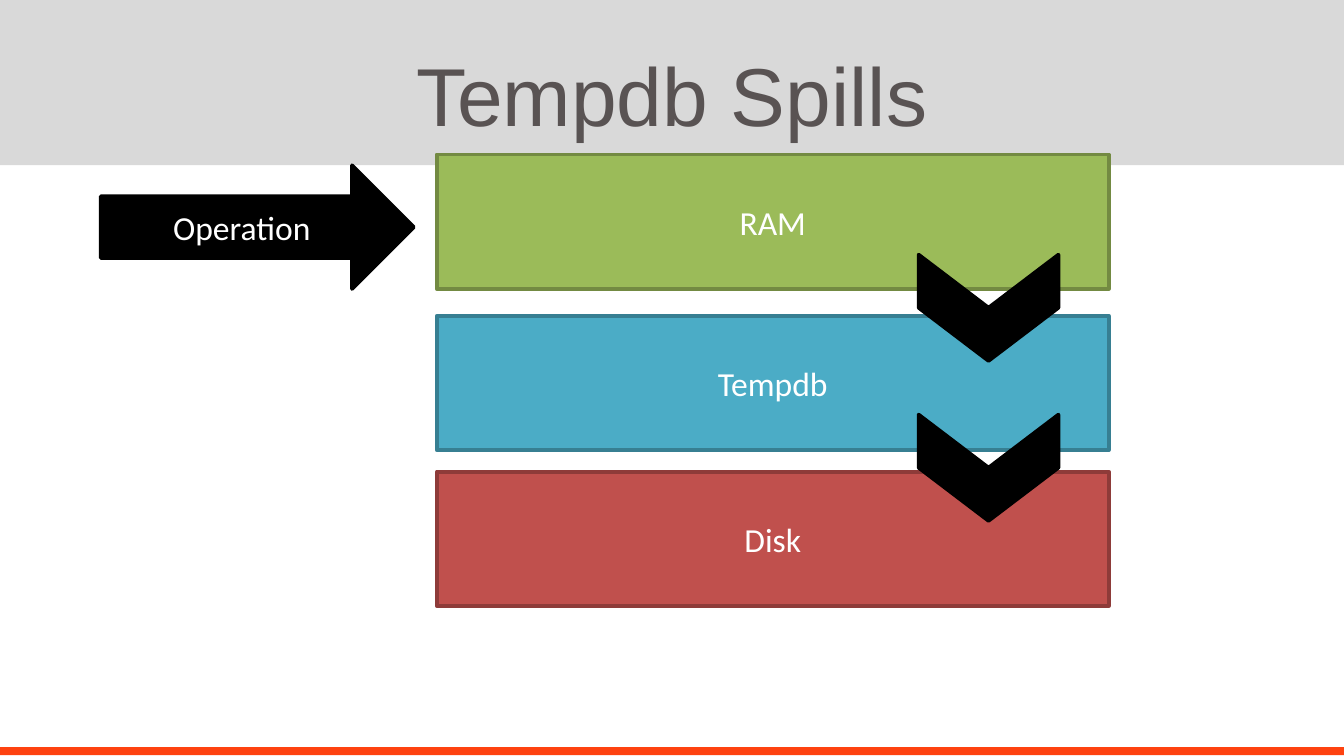
from pptx import Presentation
from pptx.dml.color import RGBColor
from pptx.enum.shapes import MSO_SHAPE
from pptx.enum.text import MSO_ANCHOR, PP_ALIGN
from pptx.util import Inches, Pt

RECTANGLE = MSO_SHAPE.RECTANGLE
RIGHT_ARROW = MSO_SHAPE.RIGHT_ARROW
CHEVRON = MSO_SHAPE.CHEVRON
MIDDLE = MSO_ANCHOR.MIDDLE
CENTER = PP_ALIGN.CENTER

BLACK = "000000"
WHITE = "FFFFFF"

# Storage tiers: label, top, fill, outline
TIERS = [
    ("RAM", 1.15, "9BBB59", "738A42"),
    ("Tempdb", 2.35, "4BACC6", "377F92"),
    ("Disk", 3.51, "C0504D", "8E3B39"),
]
SPILL_TOPS = [1.77, 2.96]


def rgb(color):
    return RGBColor.from_string(color)


def write(shape, text, size, font, color):
    frame = shape.text_frame
    frame.word_wrap = True
    frame.vertical_anchor = MIDDLE
    paragraph = frame.paragraphs[0]
    paragraph.text = text
    paragraph.alignment = CENTER
    paragraph.font.size = Pt(size)
    paragraph.font.name = font
    paragraph.font.color.rgb = rgb(color)


def add_block(slide, kind, box, fill, outline=None, label=None):
    block = slide.shapes.add_shape(kind, *map(Inches, box))
    block.shadow.inherit = False
    block.fill.solid()
    block.fill.fore_color.rgb = rgb(fill)
    if outline:
        block.line.color.rgb = rgb(outline)
        block.line.width = Pt(2)
    else:
        block.line.fill.background()
    if label:
        write(block, label, 18, "Calibri", WHITE)
    return block


def add_title(slide, text):
    title = slide.shapes.add_textbox(*map(Inches, (0.5, 0.23, 9, 0.94)))
    write(title, text, 44, "Arial", "595353")


def main():
    # Widescreen 16:9 page
    prs = Presentation()
    prs.slide_width = Inches(10)
    prs.slide_height = Inches(10 * 9 / 16)
    slide = prs.slides.add_slide(prs.slide_layouts[6])

    # Footer stripe, header band and title
    add_block(slide, RECTANGLE, (0, 5.56, 10, 0.06), "FE4210")
    add_block(slide, RECTANGLE, (0, 0, 10, 1.23), "D9D9D9")
    add_title(slide, "Tempdb Spills")

    # Incoming operation and the storage tiers
    add_block(slide, RIGHT_ARROW, (0.75, 1.23, 2.33, 0.92), BLACK, BLACK, "Operation")
    for label, top, fill, outline in TIERS:
        add_block(slide, RECTANGLE, (3.25, top, 5, 1), fill, outline, label)

    # Spills from each tier down to the next
    for top in SPILL_TOPS:
        spill = add_block(slide, CHEVRON, (6.96, top, 0.79, 1.04), BLACK, BLACK)
        spill.rotation = 90

    prs.save("out.pptx")


if __name__ == "__main__":
    main()
